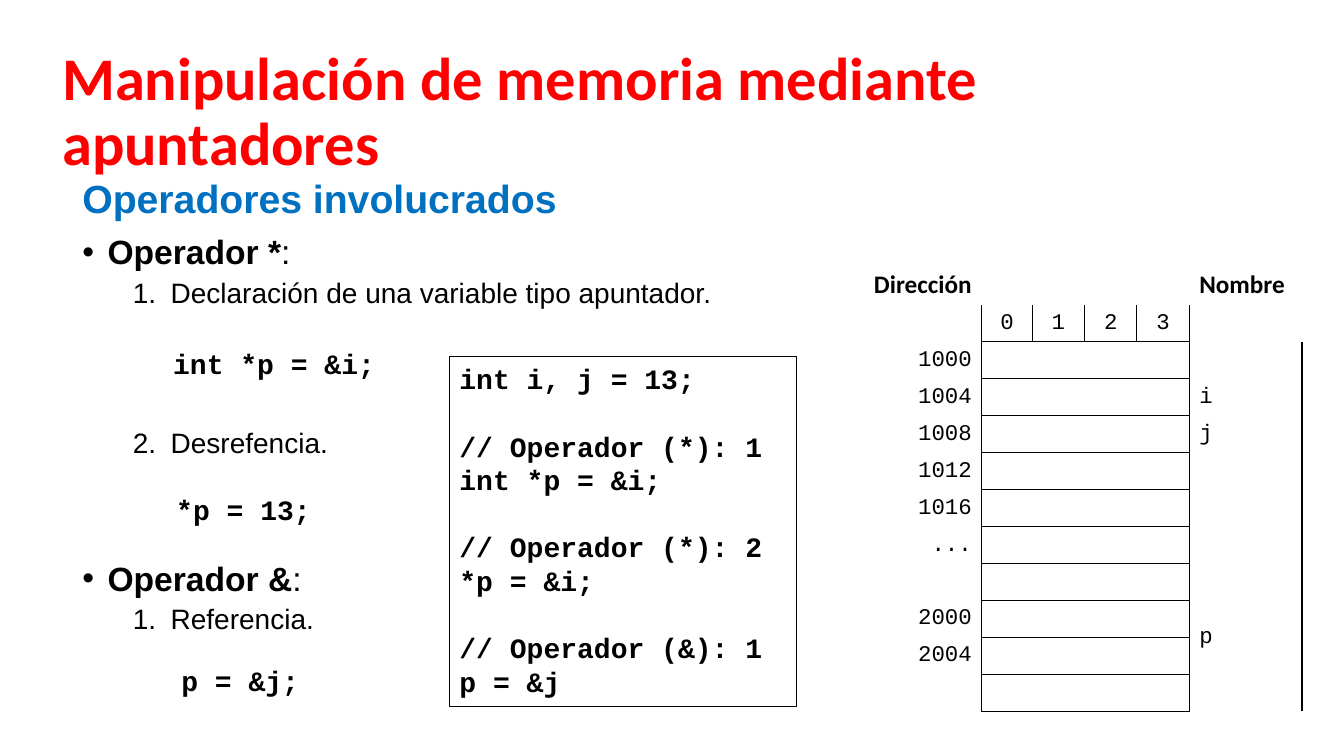
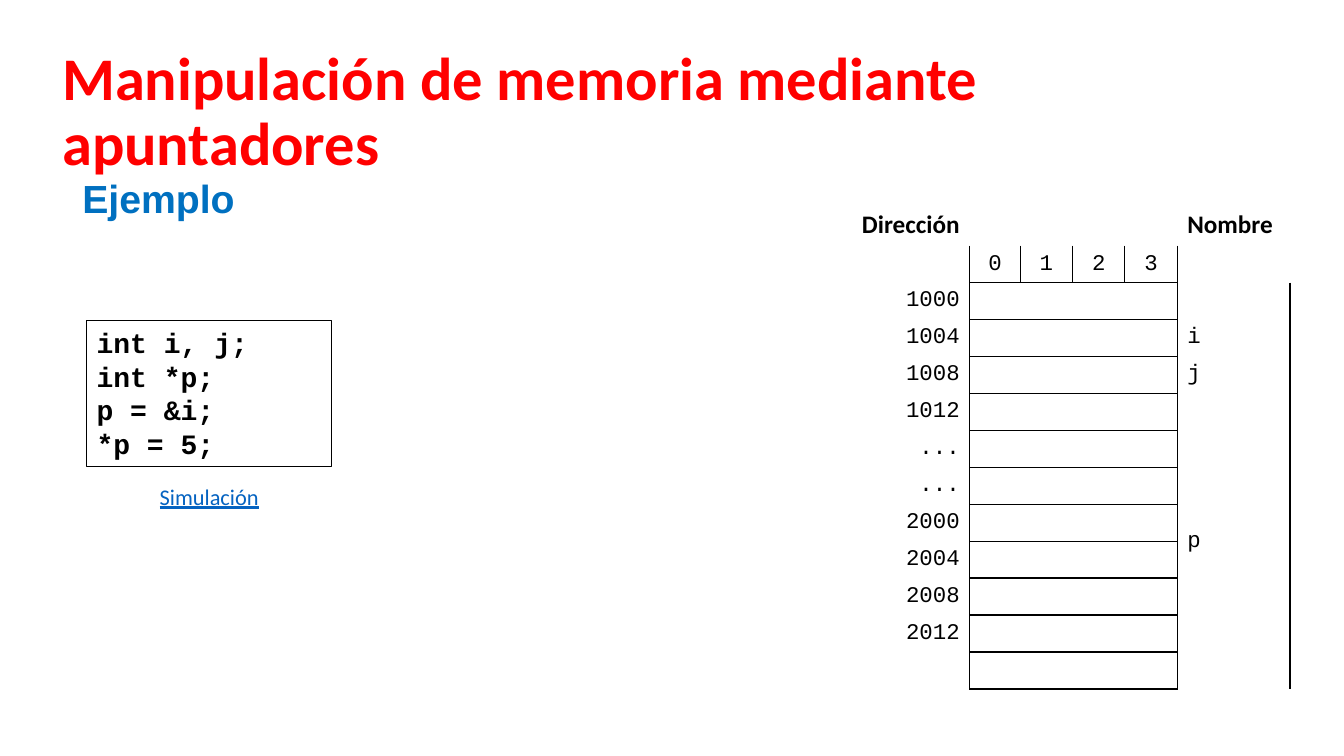
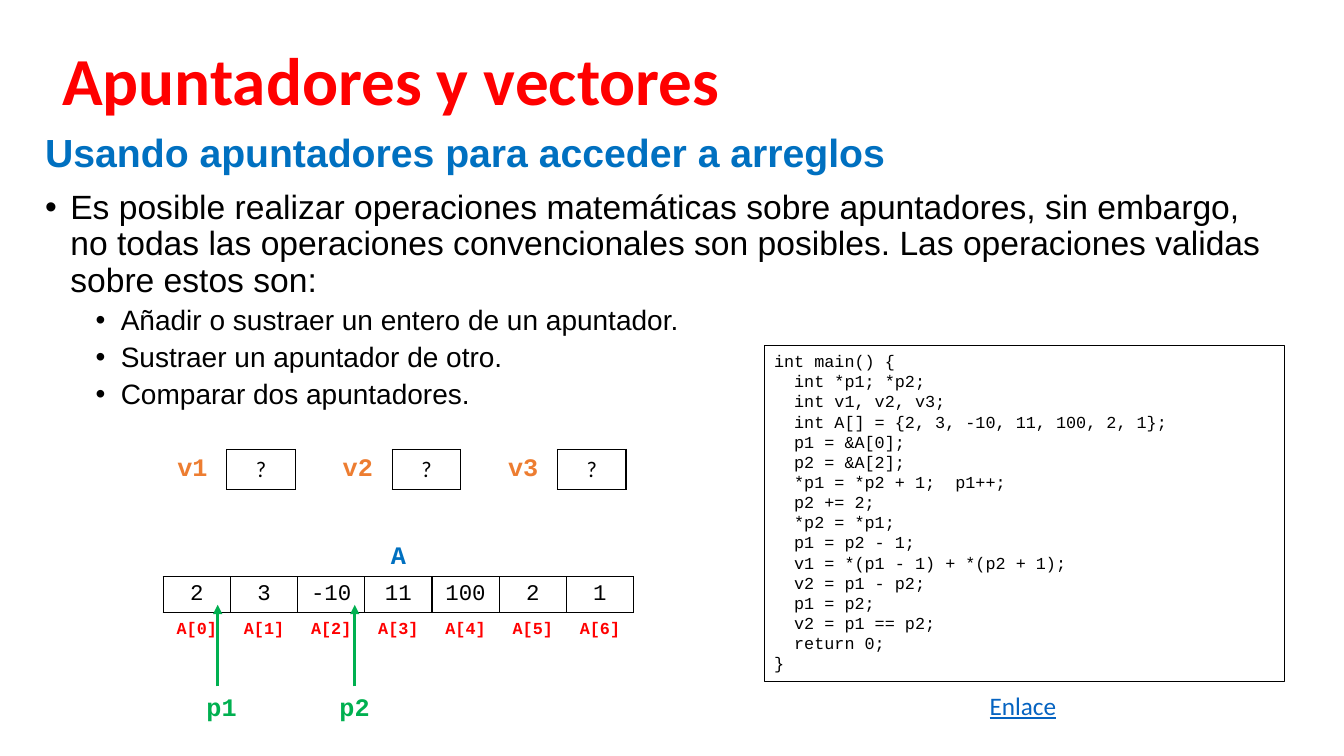
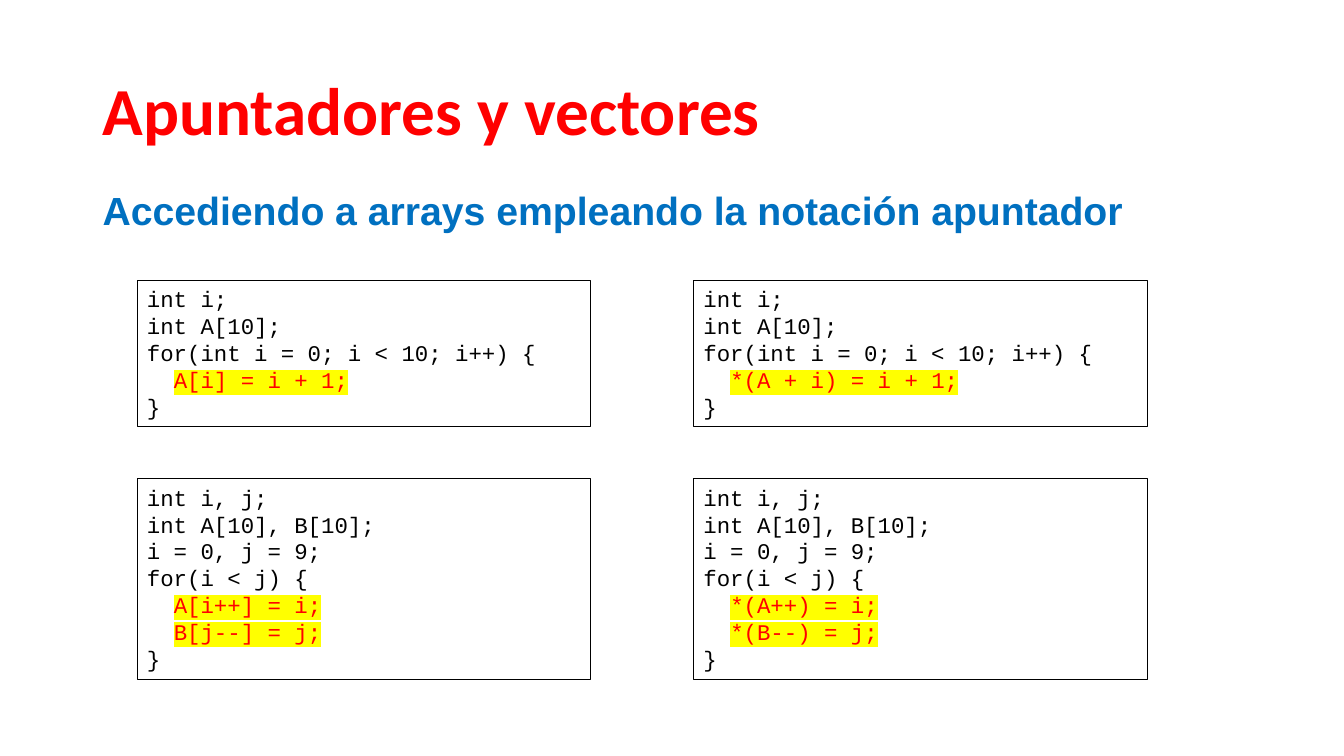
import pptx
import pptx.util
import pptx.dml.color
import pptx.enum.shapes
import pptx.enum.text
import pptx.oxml.ns
from lxml import etree

Pt = pptx.util.Pt
qn = pptx.oxml.ns.qn
ALIGN = pptx.enum.text.PP_ALIGN
ANCHOR = pptx.enum.text.MSO_ANCHOR
COLORS = {
    "black": "000000", "red": "FF0000", "blue": "0070C0", "link": "0563C1",
    "green": "00B050", "orange": "ED7D31", "yellow": "FFFF00",
}
SANS, HEAD, MONO = "Arial", "Calibri", "Courier New"
PLAIN = "{2D5ABB26-0587-4C30-8999-92F81FD0307C}"  # table style without grid

OPS = """int i, j = 13;

// Operador (*): 1
int *p = &i;

// Operador (*): 2
*p = &i;

// Operador (&): 1
p = &j"""

SAMPLE = """int i, j;
int *p;
p = &i;
*p = 5;"""

MAIN = """int main() {
  int *p1; *p2;
  int v1, v2, v3;
  int A[] = {2, 3, -10, 11, 100, 2, 1};
  p1 = &A[0];
  p2 = &A[2];
  *p1 = *p2 + 1;  p1++;
  p2 += 2;
  *p2 = *p1;
  p1 = p2 - 1;
  v1 = *(p1 - 1) + *(p2 + 1);
  v2 = p1 - p2;
  p1 = p2;
  v2 = p1 == p2;
  return 0;
}"""

FILL = """int i;
int A[10];
for(int i = 0; i < 10; i++) {
  %s = i + 1;
}"""

SWAP = """int i, j;
int A[10], B[10];
i = 0, j = 9;
for(i < j) {
  %s = i;
  %s = j;
}"""


def rgb(color):
    return pptx.dml.color.RGBColor.from_string(COLORS[color])


def add_run(para, text, size, font=SANS, color="black", bold=False,
            under=False, mark=None):
    run = para.add_run()
    run.text = text
    face = run.font
    face.size, face.name, face.bold = Pt(size), font, bold
    face.color.rgb = rgb(color)
    if under:
        face.underline = True
    if mark:
        glow = etree.Element(qn("a:highlight"))
        etree.SubElement(glow, qn("a:srgbClr"), val=COLORS[mark])
        run._r.rPr.find(qn("a:solidFill")).addnext(glow)


def add_para(frame, before=0, line=None, left=0, hang=0, bullet=None):
    """Start a paragraph; a bullet is a sign, or a number to count from."""
    para = frame.paragraphs[0]
    if para.runs:
        para = frame.add_paragraph()
    if line:
        para.line_spacing = line
    if before:
        para.space_before = Pt(before)
    props = para._p.get_or_add_pPr()
    if left:
        props.set("marL", str(Pt(left)))
        props.set("indent", str(Pt(-hang)))
    if isinstance(bullet, int):
        etree.SubElement(props, qn("a:buAutoNum"), type="arabicPeriod",
                         startAt=str(bullet))
    elif bullet:
        etree.SubElement(props, qn("a:buFont"), typeface=SANS)
        etree.SubElement(props, qn("a:buChar"), char=bullet)
    return para


def add_box(slide, left, top, width, height, wrap=True):
    box = slide.shapes.add_textbox(Pt(left), Pt(top), Pt(width), Pt(height))
    box.text_frame.word_wrap = wrap
    return box.text_frame


def add_title(slide, text, left=37.4, top=28.8, size=48):
    frame = add_box(slide, left, top, 856, 104.4)
    frame.vertical_anchor = ANCHOR.MIDDLE
    add_run(add_para(frame, line=0.9), text, size, HEAD, "red", True)


def add_body(slide, text, left=51.8, top=124.6, width=856, height=377):
    frame = add_box(slide, left, top, width, height)
    add_run(add_para(frame, line=0.9), text, 28, SANS, "blue", True)
    return frame


def add_point(frame, text, bold="", before=10):
    para = add_para(frame, before, 0.9, 18, 18, "•")
    if bold:
        add_run(para, bold, 24, bold=True)
    add_run(para, text, 24)


def add_item(frame, text, bullet, before=5):
    hang = 27 if isinstance(bullet, int) else 18
    para = add_para(frame, before, 0.9, 36 + hang, hang, bullet)
    add_run(para, text, 20)


def add_label(slide, text, left, top, width=36, height=28.8, **style):
    frame = add_box(slide, left, top, width, height, wrap=False)
    add_run(add_para(frame), text, **style)


def add_code(slide, text, left, top, width, height, size, bold=False,
             mark=False):
    """Framed code; with mark, the indented lines are highlighted."""
    box = slide.shapes.add_shape(pptx.enum.shapes.MSO_SHAPE.RECTANGLE,
                                 Pt(left), Pt(top), Pt(width), Pt(height))
    box.shadow.inherit = False
    box.fill.background()
    box.line.color.rgb = rgb("black")
    box.line.width = Pt(0.75)
    frame = box.text_frame
    frame.word_wrap = True
    frame.vertical_anchor = ANCHOR.TOP
    gap = 0
    for line in text.split("\n"):
        if not line:
            gap = 1.2 * size
            continue
        code = line.lstrip()
        deep = len(line) - len(code)
        para = add_para(frame, gap, left=0.6 * size * deep)
        para.alignment = ALIGN.LEFT
        hot = mark and deep
        add_run(para, code, size, MONO, "red" if hot else "black", bold,
                mark="yellow" if hot else None)
        gap = 0


def add_grid(slide, left, top, cols, rows):
    """Bare table with the given column widths and row heights."""
    grid = slide.shapes.add_table(len(rows), len(cols), Pt(left), Pt(top),
                                  Pt(sum(cols)), Pt(sum(rows))).table
    grid.first_row = grid.horz_banding = False
    grid._tbl.tblPr.find(qn("a:tableStyleId")).text = PLAIN
    for col, width in zip(grid.columns, cols):
        col.width = Pt(width)
    for row, height in zip(grid.rows, rows):
        row.height = Pt(height)
    return grid


def set_cell(cell, text="", sides="", align=ALIGN.CENTER, size=16, **style):
    """Fill in a cell and rule its sides, named in the order LRTB."""
    cell.fill.background()
    cell.margin_top = cell.margin_bottom = 0
    cell.vertical_anchor = ANCHOR.MIDDLE
    para = cell.text_frame.paragraphs[0]
    para.alignment = align
    if text:
        add_run(para, text, size, **style)
    else:
        etree.SubElement(para._p, qn("a:endParaRPr"), sz="1200")
    for place, side in enumerate(sides):
        rule = etree.Element(qn("a:ln" + side), w=str(Pt(1)))
        fill = etree.SubElement(rule, qn("a:solidFill"))
        etree.SubElement(fill, qn("a:srgbClr"), val=COLORS["black"])
        cell._tc.tcPr.insert(place, rule)


def add_memory(slide, left, top, places):
    """Memory map: addresses, four-byte words and variable names."""
    names = {"1004": "i", "1008": "j", "2000": "p"}
    grid = add_grid(slide, left, top, [85.7, 36, 37.4, 37.4, 37.4, 80.6],
                    [29.2] + [26.4] * (len(places) + 1))
    head = {"size": 18, "font": HEAD, "bold": True}
    set_cell(grid.cell(0, 0), "Dirección", align=ALIGN.RIGHT, **head)
    set_cell(grid.cell(0, 5), "Nombre", align=ALIGN.LEFT, **head)
    for col in range(1, 5):
        set_cell(grid.cell(0, col))
        set_cell(grid.cell(1, col), str(col - 1), "LRB", font=MONO)
    grid.cell(0, 1).merge(grid.cell(0, 4))
    for row, place in enumerate([""] + places, 1):
        set_cell(grid.cell(row, 0), place, "R", ALIGN.RIGHT, font=MONO)
        set_cell(grid.cell(row, 5), names.get(place, ""), "L", ALIGN.LEFT,
                 font=MONO)
        if row > 1:
            for col, sides in enumerate(["LRTB", "TB", "TB", "RTB"], 1):
                set_cell(grid.cell(row, col), sides=sides)
            grid.cell(row, 1).merge(grid.cell(row, 4))
        if names.get(place) == "p":
            grid.cell(row, 5).merge(grid.cell(row + 1, 5))


def add_array(slide, left, top, values):
    count = len(values)
    grid = add_grid(slide, left, top, [48] * count, [27.4, 25.8, 25.2])
    for col, value in enumerate(values):
        set_cell(grid.cell(0, col), "" if col else "A", "B", size=18,
                 font=MONO, color="blue", bold=True)
        set_cell(grid.cell(1, col), str(value), "LRTB", font=MONO)
        set_cell(grid.cell(2, col), f"A[{col}]", "T", size=12, font=MONO,
                 color="red", bold=True)
    grid.cell(0, 0).merge(grid.cell(0, count - 1))


def add_value(slide, name, left, top):
    grid = add_grid(slide, left, top, [49, 49], [28.8])
    set_cell(grid.cell(0, 0), name, "R", size=18, font=MONO, color="orange",
             bold=True)
    set_cell(grid.cell(0, 1), "?", "LRTB", font=HEAD)


def add_arrow(slide, left, start, end):
    arrow = slide.shapes.add_connector(
        pptx.enum.shapes.MSO_CONNECTOR.STRAIGHT,
        Pt(left), Pt(start), Pt(left), Pt(end))
    arrow.line.color.rgb = rgb("green")
    arrow.line.width = Pt(2.25)
    etree.SubElement(arrow.line._get_or_add_ln(), qn("a:tailEnd"),
                     type="triangle")
    etree.SubElement(arrow._element.spPr, qn("a:effectLst"))


def show_ops(slide):
    add_title(slide, "Manipulación de memoria mediante apuntadores", size=43.2)
    body = add_body(slide, "Operadores involucrados")
    add_point(body, ":", "Operador *")
    add_item(body, "Declaración de una variable tipo apuntador.", 1)
    add_item(body, "Desrefencia.", 2, before=86)
    add_point(body, ":", "Operador &", before=73)
    add_item(body, "Referencia.", 1)
    for text, left, top in [("int *p = &i;", 116.6, 244.1),
                            ("*p = 13;", 118.8, 348.5),
                            ("p = &j;", 122.4, 470.2)]:
        frame = add_box(slide, left, top, 190, 31.7)
        add_run(add_para(frame), text, 20, MONO, bold=True)
    add_code(slide, OPS, 321.1, 254.9, 247.7, 249.8, 20, bold=True)
    add_memory(slide, 615.6, 188.6, ["1000", "1004", "1008", "1012", "1016",
                                     "...", "", "2000", "2004", ""])


def show_sample(slide):
    add_title(slide, "Manipulación de memoria mediante apuntadores", size=43.2)
    add_body(slide, "Ejemplo")
    add_code(slide, SAMPLE, 61.9, 229, 175, 104.4, 20, bold=True)
    add_memory(slide, 607, 146.2, ["1000", "1004", "1008", "1012", "...",
                                   "...", "2000", "2004", "2008", "2012", ""])
    frame = add_box(slide, 100.8, 341.3, 97.2, 26.6)
    para = add_para(frame)
    para.alignment = ALIGN.CENTER
    add_run(para, "Simulación", 16, HEAD, "link", under=True)


def show_math(slide):
    add_title(slide, "Apuntadores y vectores", top=7.9)
    body = add_body(slide, "Usando apuntadores para acceder a arreglos",
                    25.2, 92.2, 887.8, 430)
    add_point(body, "Es posible realizar operaciones matemáticas sobre "
              "apuntadores, sin embargo, no todas las operaciones "
              "convencionales son posibles. Las operaciones validas sobre "
              "estos son:")
    for text in ["Añadir o sustraer un entero de un apuntador.",
                 "Sustraer un apuntador de otro.",
                 "Comparar dos apuntadores."]:
        add_item(body, text, "•")
    add_array(slide, 116.6, 384.5, [2, 3, -10, 11, 100, 2, 1])
    for name, left, tip in [("p1", 140.4, 155.5), ("p2", 235.4, 253.4)]:
        add_arrow(slide, tip, 490.3, 432)
        add_label(slide, name, left, 490.5, size=18, font=MONO,
                  color="green", bold=True)
    for step, name in enumerate(["v1", "v2", "v3"]):
        add_value(slide, name, 113 + 118.1 * step, 321.1)
    add_code(slide, MAIN, 545.8, 247, 371.5, 239.8, 12)
    add_label(slide, "Enlace", 699.8, 489.6, 62.6, size=18, font=HEAD,
              color="link", under=True)


def show_loops(slide):
    add_title(slide, "Apuntadores y vectores", left=66.2)
    add_body(slide, "Accediendo a arrays empleando la notación apuntador",
             66.2, 133.2, 828, 342.7)
    for left, cell, pair in [(97.9, "A[i]", ("A[i++]", "B[j--]")),
                             (495.4, "*(A + i)", ("*(A++)", "*(B--)"))]:
        add_code(slide, FILL % cell, left, 200.2, 324, 104.4, 16, mark=True)
        add_code(slide, SWAP % pair, left, 342, 324, 143.3, 16, mark=True)


def main():
    deck = pptx.Presentation()
    deck.slide_width, deck.slide_height = Pt(960), Pt(540)
    for show in (show_ops, show_sample, show_math, show_loops):
        show(deck.slides.add_slide(deck.slide_layouts[6]))
    deck.save("out.pptx")


if __name__ == "__main__":
    main()
